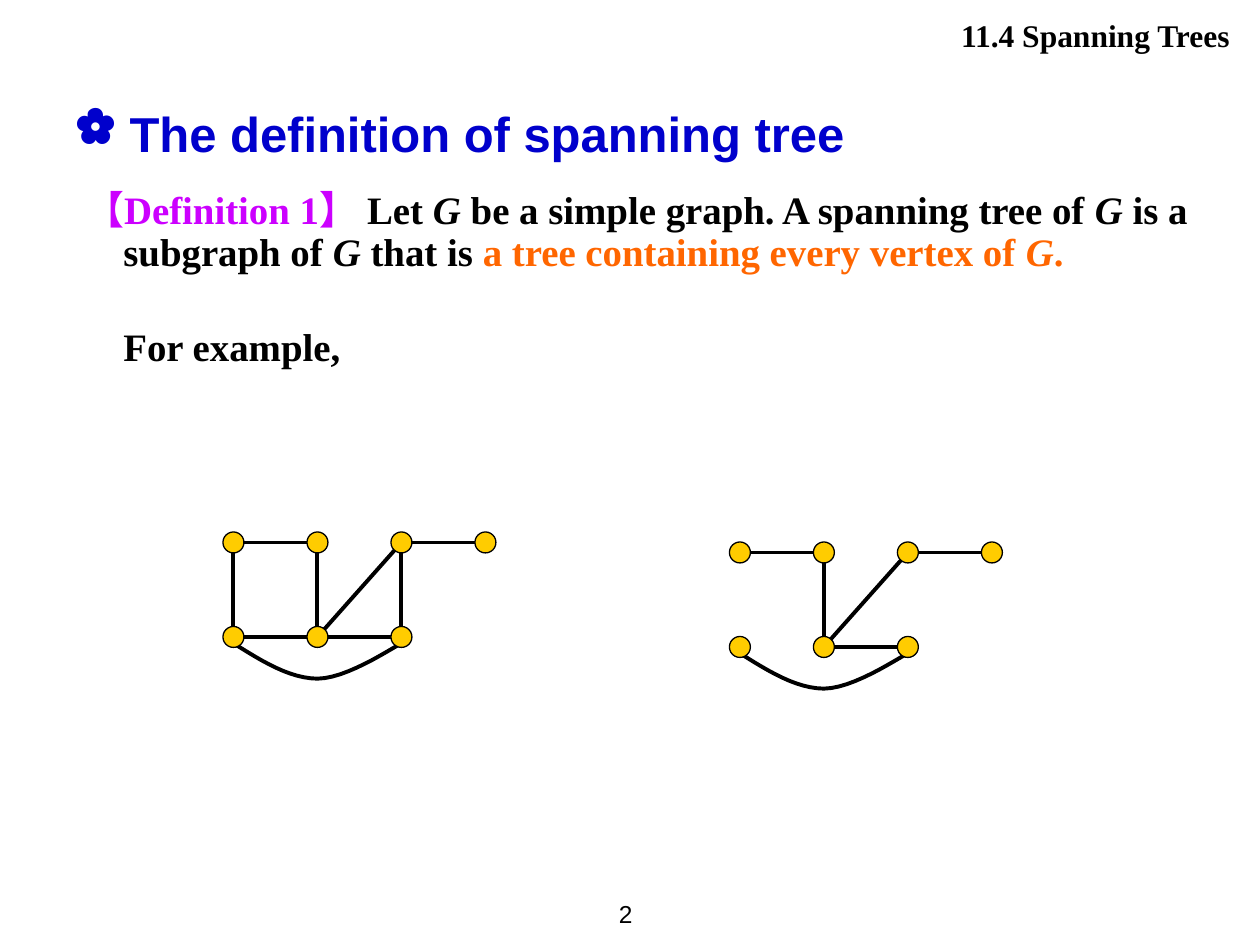
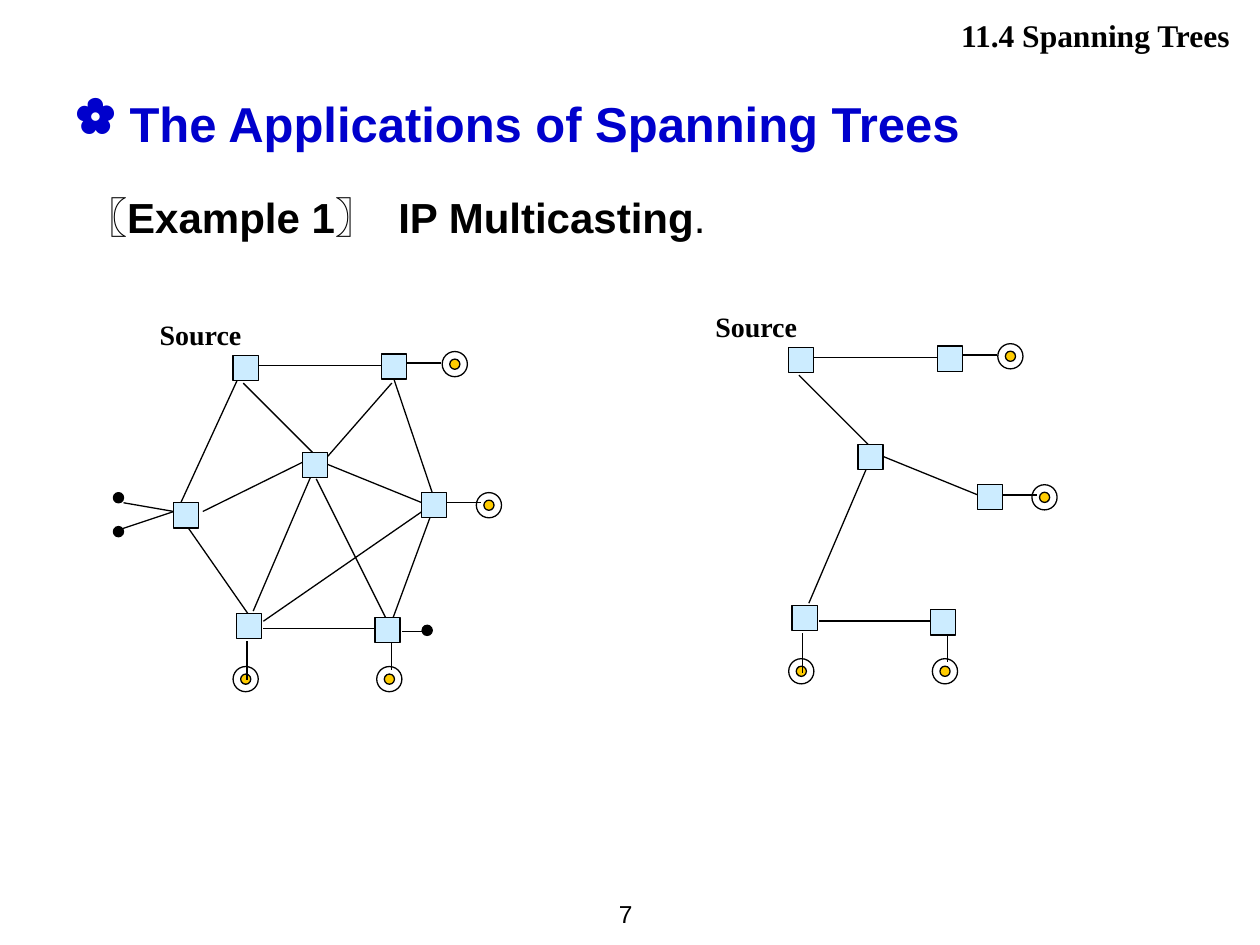
from lxml.etree import SubElement
from pptx import Presentation
from pptx.dml.color import RGBColor
from pptx.enum.shapes import MSO_CONNECTOR, MSO_SHAPE
from pptx.enum.text import MSO_ANCHOR, PP_ALIGN
from pptx.oxml.ns import qn
from pptx.util import Pt

COLORS = {"ink": "000000", "title": "0000CC", "label": "CC00FF", "key": "FF6600",
          "vertex": "FFCC00", "router": "CCECFF"}
SERIF, SANS = "Times New Roman", "Arial"
SECTION = "11.4 Spanning Trees"
HANG, FIRST_LINE = 27.4, -21.8

DEFINITION = [
    ("【Definition 1】 ", "label", False), ("Let ", "ink", False), ("G", "ink", True),
    (" be a simple graph. A spanning tree of ", "ink", False), ("G", "ink", True),
    (" is a subgraph of ", "ink", False), ("G", "ink", True), (" that is ", "ink", False),
    ("a tree containing every vertex of ", "key", False), ("G", "key", True),
    (".", "key", False),
]

VERTICES = {"a": (0, 0), "b": (1, 0), "c": (2, 0), "d": (3, 0),
            "e": (0, 1), "f": (1, 1), "g": (2, 1)}
COLUMN, ROW, VERTEX = 48, 54, 12
SIMPLE_GRAPHS = [
    ((133.4, 310), "ab cd ae ef fg bf fc cg"),
    ((422.8, 315.7), "ab cd fg bf fc"),
]
ARC = [((0, 3.6), (16, 13.7), (32.4, 23.8), (48, 23.8)),
       ((48, 23.8), (64, 23.8), (88, 8), (96, 3.6))]

ROUTERS = {"source": (140.4, 210.2), "hub": (180, 265.7), "west": (106.3, 294.5),
           "east": (248.2, 288.7), "southwest": (142.3, 357.8),
           "southeast": (221.5, 360.2), "north": (225.3, 209.5)}
MEMBERS = [(259.9, 208.1), (279.4, 288.7), (222.5, 388.1), (140.4, 388.1)]
OTHERS = [(67.7, 284.4), (67.7, 303.8), (244.1, 360.2)]
TREE_LINKS = [
    (146.9, 208.8, 220.3, 208.8), (139, 218.9, 178.6, 258.5),
    (184.3, 264.2, 241.2, 287.3), (150.5, 359.3, 218.2, 359.3),
    (178.6, 270, 144.7, 349.2), (229.7, 207.4, 252, 207.4),
    (252, 287.3, 275, 287.3), (141.1, 366.5, 141.1, 388.8),
    (223.9, 366.5, 223.9, 383),
]
EXTRA_LINKS = [
    (223.9, 218.9, 184.3, 264.2), (180.7, 273.6, 220.3, 352.8),
    (247, 292.3, 223.9, 355), (136.8, 214.6, 103, 288),
    (105.1, 298.1, 144.7, 355), (150.5, 355, 241.2, 292.3),
    (115.9, 292.3, 172.8, 264.2), (223.9, 213.1, 247, 281.5),
    (229.7, 360.7, 241.2, 360.7), (70.6, 287.3, 99.4, 292.3),
    (99.4, 292.3, 64.8, 303.8),
]
NETWORKS = [
    ((0, 0), list(ROUTERS), OTHERS, TREE_LINKS + EXTRA_LINKS),
    ((317.5, -4.5), [name for name in ROUTERS if name != "west"], [], TREE_LINKS),
]


def color(name):
    return RGBColor.from_string(COLORS[name])


def add_box(page, left, top, width, height):
    box = page.shapes.add_textbox(Pt(left), Pt(top), Pt(width), Pt(height))
    box.text_frame.word_wrap = True
    return box.text_frame


def add_span(para, text, size, font=SERIF, ink="ink", bold=True, italic=False):
    span = para.add_run()
    span.text = text
    span.font.size, span.font.name = Pt(size), font
    span.font.bold, span.font.italic = bold, italic
    span.font.color.rgb = color(ink)
    return span


def set_indent(para, margin, first):
    properties = para._p.get_or_add_pPr()
    properties.set("marL", str(Pt(margin)))
    properties.set("indent", str(Pt(first)))
    return properties


def add_page(deck, number, title, title_top):
    page = deck.slides.add_slide(deck.slide_layouts[6])
    frame = add_box(page, 320.4, 36, 48.2, 36)
    frame._parent.top = Pt(504)
    frame.vertical_anchor = MSO_ANCHOR.MIDDLE
    frame.paragraphs[0].alignment = PP_ALIGN.RIGHT
    add_span(frame.paragraphs[0], number, 14, SANS, bold=False)

    para = add_box(page, 36, title_top, 648, 55.4).paragraphs[0]
    properties = set_indent(para, 31, -31)
    bullet_color = SubElement(properties, qn("a:buClr"))
    SubElement(bullet_color, qn("a:srgbClr")).set("val", COLORS["title"])
    SubElement(properties, qn("a:buChar")).set("char", "✿")
    add_span(para, title, 28, SANS, "title")

    para = add_box(page, 286.6, 5.8, 423.2, 28.8).paragraphs[0]
    para.alignment = PP_ALIGN.RIGHT
    add_span(para, SECTION, 18)
    return page


def add_node(page, kind, center, size, fill=None):
    left, top = (value - size / 2 for value in center)
    node = page.shapes.add_shape(kind, Pt(left), Pt(top), Pt(size), Pt(size))
    node.shadow.inherit = False
    if fill:
        node.fill.solid()
        node.fill.fore_color.rgb = color(fill)
    else:
        node.fill.background()
    node.line.color.rgb = color("ink")
    node.line.width = Pt(0.75)


def add_link(page, start, end, width):
    link = page.shapes.add_connector(MSO_CONNECTOR.STRAIGHT, *map(Pt, (*start, *end)))
    link.line.color.rgb = color("ink")
    link.line.width = Pt(width)
    SubElement(link._element.spPr, qn("a:effectLst"))


def bezier(points, t):
    weights = ((1 - t) ** 3, 3 * t * (1 - t) ** 2, 3 * t ** 2 * (1 - t), t ** 3)
    return tuple(sum(w * p[axis] for w, p in zip(weights, points)) for axis in (0, 1))


def add_arc(page, left, top):
    curve = [bezier(part, step / 12) for part in ARC for step in range(13)]
    points = [(Pt(left + x), Pt(top + y)) for x, y in curve]
    builder = page.shapes.build_freeform(*points[0])
    builder.add_line_segments(points[1:], close=False)
    arc = builder.convert_to_shape()
    arc.shadow.inherit = False
    arc.fill.background()
    arc.line.color.rgb = color("ink")
    arc.line.width = Pt(2.25)


def add_simple_graph(page, origin, edges):
    centers = {name: (origin[0] + column * COLUMN, origin[1] + row * ROW)
               for name, (column, row) in VERTICES.items()}
    for start, end in edges.split():
        add_link(page, centers[start], centers[end], 2.25)
    add_arc(page, *centers["e"])
    for center in centers.values():
        add_node(page, MSO_SHAPE.OVAL, center, VERTEX, "vertex")


def add_network(page, offset, routers, others, links):
    def place(point):
        return point[0] + offset[0], point[1] + offset[1]

    for member in MEMBERS:
        add_node(page, MSO_SHAPE.OVAL, place(member), 14.4)
        add_node(page, MSO_SHAPE.OVAL, place(member), 5.8, "vertex")
    for other in others:
        add_node(page, MSO_SHAPE.OVAL, place(other), 5.8, "ink")
    for link in links:
        add_link(page, place(link[:2]), place(link[2:]), 0.75)
    for name in routers:
        add_node(page, MSO_SHAPE.RECTANGLE, place(ROUTERS[name]), 14.4, "router")
    frame = add_box(page, *place((84.2, 177.8)), 79.2, 26.6)
    add_span(frame.paragraphs[0], "Source", 16)


def add_definition_page(deck):
    page = add_page(deck, "2", "The definition of spanning tree", 55.4)
    frame = add_box(page, 36, 105.8, 658.8, 147.6)
    para = frame.paragraphs[0]
    set_indent(para, HANG, FIRST_LINE)
    para.line_spacing = 0.9
    for text, ink, italic in DEFINITION:
        add_span(para, text, 22.2, ink=ink, italic=italic)
    para = frame.add_paragraph()
    set_indent(para, HANG, 0)
    para.line_spacing, para.space_before = 0.9, Pt(30)
    add_span(para, "For example,", 22.2)
    for origin, edges in SIMPLE_GRAPHS:
        add_simple_graph(page, origin, edges)


def add_application_page(deck):
    page = add_page(deck, "7", "The Applications of Spanning Trees", 49.7)
    para = add_box(page, 36, 105.8, 658.8, 45.4).paragraphs[0]
    set_indent(para, HANG, FIRST_LINE)
    add_span(para, "〖Example 1〗", 24, SANS)
    gap = add_span(para, " ", 24, SANS)
    gap.font._element.set("spc", "670")
    add_span(para, "IP Multicasting", 24, SANS)
    add_span(para, ".", 24, SANS, bold=False)
    for network in NETWORKS:
        add_network(page, *network)


def main():
    deck = Presentation()
    deck.slide_width, deck.slide_height = Pt(720), Pt(540)
    add_definition_page(deck)
    add_application_page(deck)
    deck.save("out.pptx")


if __name__ == "__main__":
    main()
